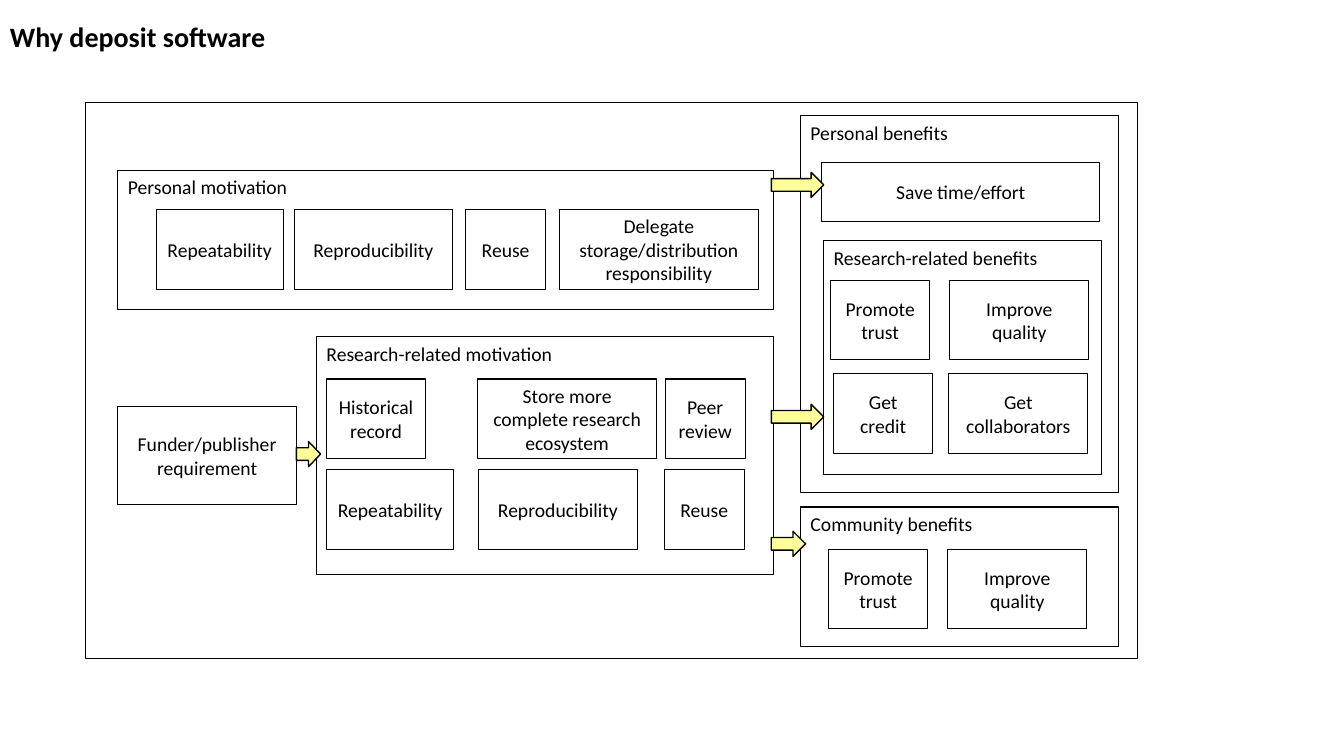
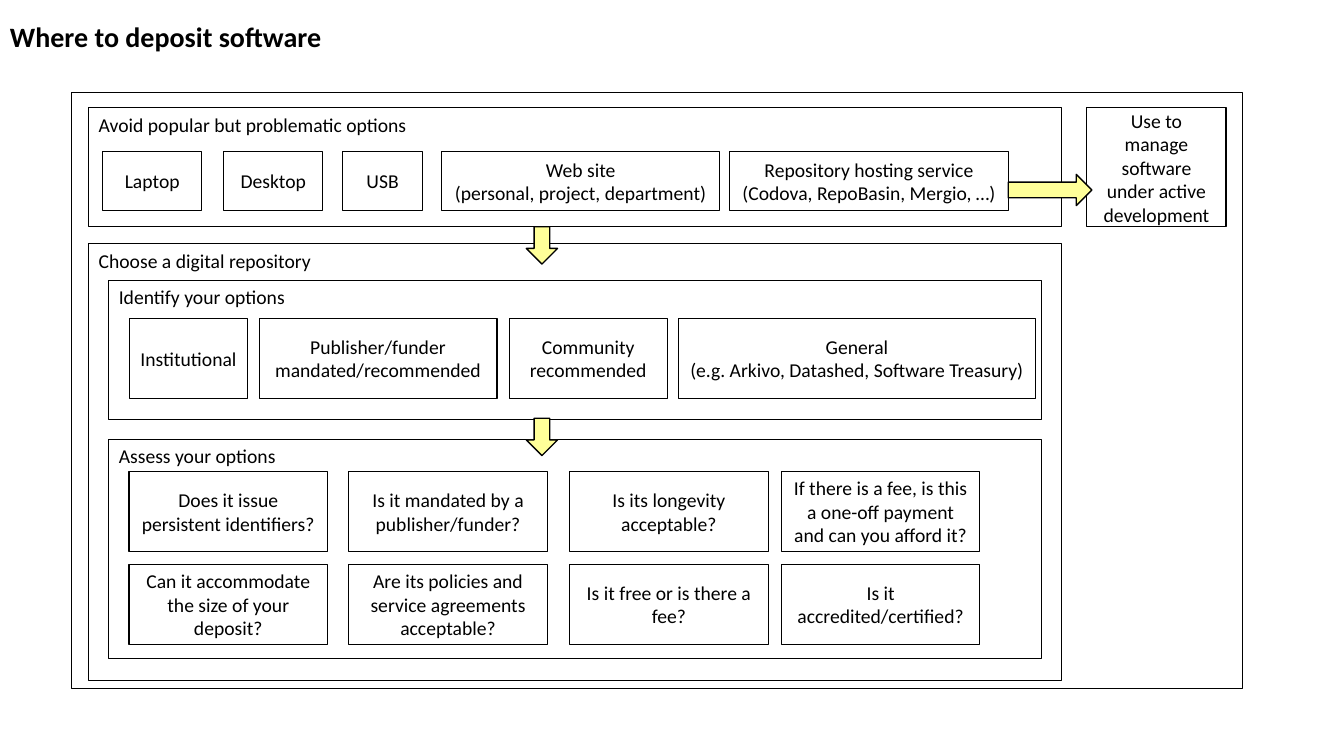
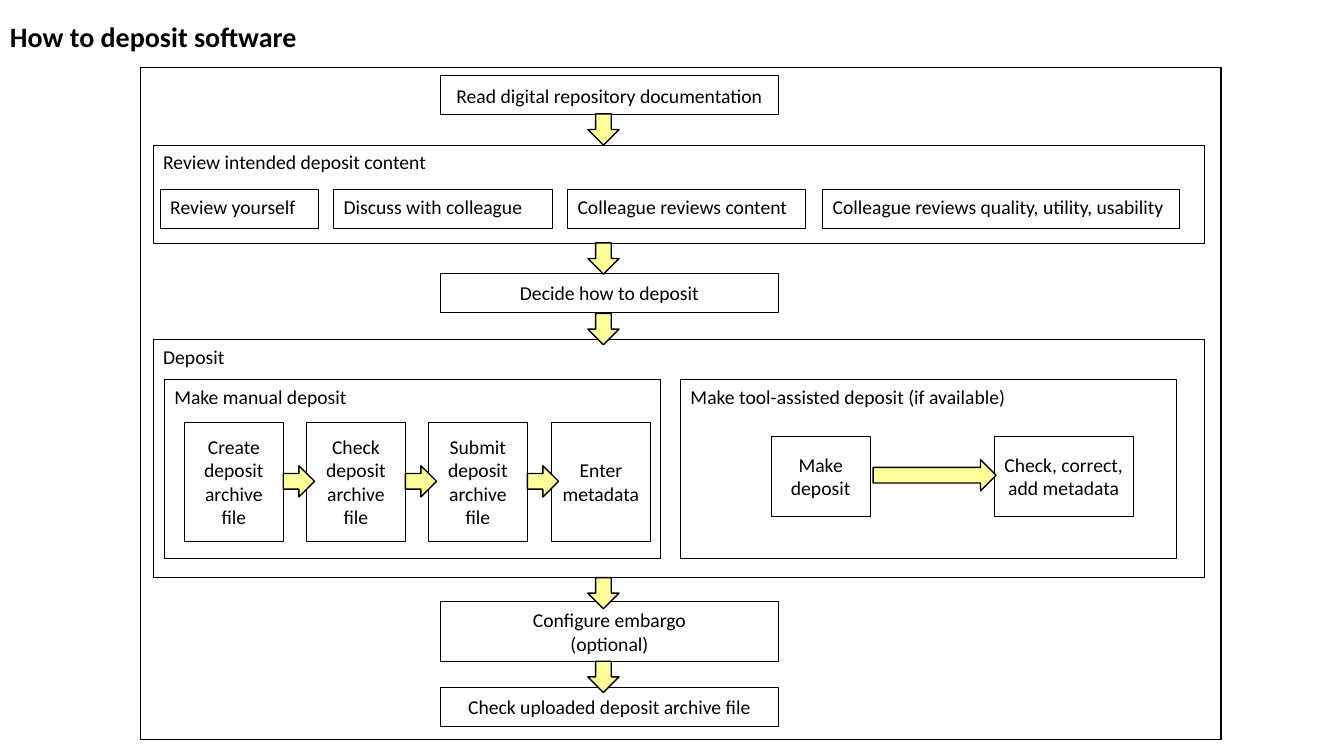
import pptx
import pptx.dml.color
import pptx.enum.shapes
import pptx.enum.text
import pptx.util

PX = 9144  # EMU per px, at 100 px to the inch
FONT = "Calibri"
COLOURS = {"ink": "000000", "paper": "FFFFFF", "arrow": "FFFF99"}

SHAPE = pptx.enum.shapes.MSO_SHAPE
ALIGN = pptx.enum.text.PP_ALIGN
ANCHOR = pptx.enum.text.MSO_ANCHOR


def colour(name):
    return pptx.dml.color.RGBColor.from_string(COLOURS[name])


def px(*lengths):
    return [pptx.util.Emu(length * PX) for length in lengths]


def write(box, text, size=14, bold=False, align=ALIGN.LEFT, anchor=ANCHOR.TOP):
    frame = box.text_frame
    frame.word_wrap = True
    frame.vertical_anchor = anchor
    frame.text = text
    for paragraph in frame.paragraphs:
        paragraph.alignment = align
        for span in paragraph.runs:
            span.font.name = FONT
            span.font.size = pptx.util.Pt(size)
            span.font.bold = bold
            span.font.color.rgb = colour("ink")


def outlined(page, kind, bounds, line_width):
    shape = page.shapes.add_shape(kind, *px(*bounds))
    shape.shadow.inherit = False
    shape.fill.background()
    shape.line.color.rgb = colour("ink")
    shape.line.width = pptx.util.Pt(line_width)
    return shape


def panel(page, left, top, width, height, label=""):
    """Unfilled rectangle with an optional label at its top left."""
    box = outlined(page, SHAPE.RECTANGLE, (left, top, width, height), 0.75)
    if label:
        write(box, label)


def card(page, left, top, width, height, text):
    """Unfilled rectangle with its text in the middle."""
    box = outlined(page, SHAPE.RECTANGLE, (left, top, width, height), 0.75)
    write(box, text, align=ALIGN.CENTER, anchor=ANCHOR.MIDDLE)


def row(page, top, height, items, draw=card):
    """Boxes on one line, each item being left, width and text."""
    for left, width, text in items:
        draw(page, left, top, width, height, text)


def arrow(page, left, top, width, height, kind=SHAPE.RIGHT_ARROW):
    shape = outlined(page, kind, (left, top, width, height), 1)
    shape.fill.solid()
    shape.fill.fore_color.rgb = colour("arrow")


def down_arrows(page, left, tops, width, height):
    for top in tops:
        arrow(page, left, top, width, height, SHAPE.DOWN_ARROW)


def titled_page(deck, title):
    page = deck.slides.add_slide(deck.slide_layouts[6])
    page.background.fill.solid()
    page.background.fill.fore_color.rgb = colour("paper")
    box = page.shapes.add_textbox(*px(0, 14, 340, 44))
    write(box, title, size=20, bold=True)
    return page


def why_page(deck):
    page = titled_page(deck, "Why deposit software")
    panel(page, 85, 102, 1043, 551)

    panel(page, 117, 169, 650, 138, "Personal motivation")
    row(page, 208, 79, [
        (155, 126, "Repeatability"),
        (292, 157, "Reproducibility"),
        (462, 79, "Reuse"),
        (555, 197, "Delegate storage/distribution responsibility"),
    ])

    card(page, 117, 403, 177, 98, "Funder/publisher requirement")
    panel(page, 314, 334, 453, 236, "Research-related motivation")
    row(page, 376, 79, [
        (324, 98, "Historical record"),
        (474, 177, "Store more complete research ecosystem"),
        (660, 79, "Peer review"),
    ])
    row(page, 466, 79, [
        (324, 126, "Repeatability"),
        (475, 157, "Reproducibility"),
        (659, 79, "Reuse"),
    ])

    panel(page, 794, 115, 315, 374, "Personal benefits")
    card(page, 815, 161, 276, 59, "Save time/effort")
    panel(page, 817, 239, 276, 232, "Research-related benefits")
    panel(page, 794, 503, 315, 138, "Community benefits")
    for left, top in ((824, 278), (822, 545)):
        row(page, top, 79, [
            (left, 98, "Promote trust"),
            (left + 118, 138, "Improve quality"),
        ])
    row(page, 371, 79, [(827, 98, "Get credit"), (941, 138, "Get collaborators")])

    for left, top, width in ((765, 171, 52), (765, 401, 52), (765, 527, 34), (294, 438, 24)):
        arrow(page, left, top, width, 25)


def where_page(deck):
    page = titled_page(deck, "Where to deposit software")
    panel(page, 71, 92, 1161, 591)

    panel(page, 88, 107, 965, 118, "Avoid popular but problematic options")
    row(page, 150, 59, [
        (102, 98, "Laptop"),
        (222, 98, "Desktop"),
        (340, 79, "USB"),
        (438, 276, "Web site\n(personal, project, department)"),
        (724, 276, "Repository hosting service\n(Codova, RepoBasin, Mergio, …)"),
    ])
    card(page, 1078, 107, 138, 118, "Use to manage software under active development")

    panel(page, 88, 242, 965, 433, "Choose a digital repository")
    panel(page, 108, 278, 925, 138, "Identify your options")
    row(page, 316, 79, [
        (128, 118, "Institutional"),
        (257, 236, "Publisher/funder mandated/recommended"),
        (505, 157, "Community recommended"),
        (673, 354, "General\n(e.g. Arkivo, Datashed, Software Treasury)"),
    ])

    panel(page, 108, 436, 925, 217, "Assess your options")
    columns = (128, 346, 565, 775)
    questions = {
        468: ("Does it issue persistent identifiers?",
              "Is it mandated by a publisher/funder?",
              "Is its longevity acceptable?",
              "If there is a fee, is this a one-off payment and can you afford it?"),
        560: ("Can it accommodate the size of your deposit?",
              "Are its policies and service agreements acceptable?",
              "Is it free or is there a fee?",
              "Is it accredited/certified?"),
    }
    for top, texts in questions.items():
        row(page, top, 79, [(left, 197, text) for left, text in zip(columns, texts)])

    arrow(page, 1000, 173, 83, 31)
    down_arrows(page, 522, (225, 415), 31, 37)


def how_page(deck):
    page = titled_page(deck, "How to deposit software")
    panel(page, 139, 67, 1072, 667)

    for top, height, text in (
        (75, 39, "Read digital repository documentation"),
        (271, 39, "Decide how to deposit"),
        (597, 59, "Configure embargo\n(optional)"),
        (682, 39, "Check uploaded deposit archive file"),
    ):
        card(page, 437, top, 335, height, text)

    panel(page, 152, 144, 1043, 98, "Review intended deposit content")
    row(page, 188, 39, [
        (159, 157, "Review yourself"),
        (331, 217, "Discuss with colleague"),
        (563, 236, "Colleague reviews content"),
        (816, 354, "Colleague reviews quality, utility, usability"),
    ], draw=panel)

    panel(page, 152, 337, 1043, 236, "Deposit")
    panel(page, 163, 377, 492, 177, "Make manual deposit")
    steps = ("Create deposit archive file", "Check deposit archive file",
             "Submit deposit archive file", "Enter metadata")
    lefts = [183 + 364 * index // 3 for index in range(len(steps))]
    row(page, 419, 118, [(left, 98, step) for left, step in zip(lefts, steps)])
    for left in lefts[:-1]:
        arrow(page, left + 98, 462, 31, 31)

    panel(page, 675, 377, 492, 177, "Make tool-assisted deposit (if available)")
    row(page, 433, 79, [(765, 98, "Make deposit"), (986, 138, "Check, correct, add metadata")])
    arrow(page, 866, 456, 122, 31)

    down_arrows(page, 583, (113, 241, 311, 573, 656), 31, 31)


def main():
    deck = pptx.Presentation()
    deck.slide_width, deck.slide_height = px(1333, 750)
    why_page(deck)
    where_page(deck)
    how_page(deck)
    deck.save("out.pptx")


if __name__ == "__main__":
    main()
